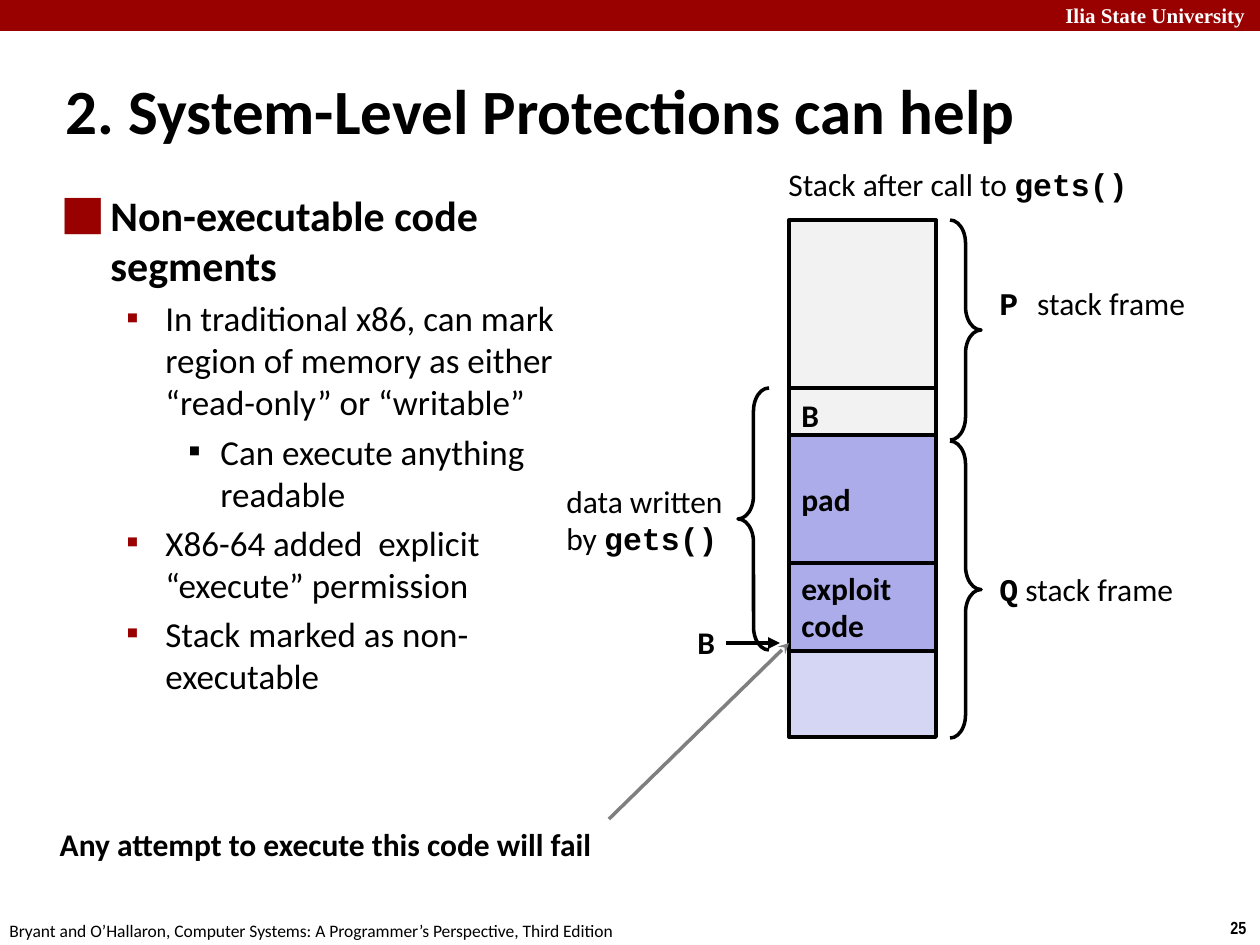
from lxml import etree
from pptx import Presentation
from pptx import util as u
from pptx.dml.color import RGBColor
from pptx.enum import shapes, text
from pptx.oxml.ns import qn

EMU_PER_PX = 914400 / 126

BLACK = RGBColor(0x00, 0x00, 0x00)
WHITE = RGBColor(0xFF, 0xFF, 0xFF)
CRIMSON = RGBColor(0x99, 0x00, 0x00)
GRAY = RGBColor(0x7F, 0x7F, 0x7F)
CALLER_FILL = RGBColor(0xF2, 0xF2, 0xF2)
WRITTEN_FILL = RGBColor(0xAC, 0xAC, 0xEA)
FREE_FILL = RGBColor(0xD5, 0xD5, 0xF4)

SANS = "Calibri"
MONO = "Courier New"
STACK_LEFT = 789
STACK_WIDTH = 147
BULLET_LEVELS = [
    dict(margin=48, hanging=48, size=24, bold=True, mark="⬛", color=CRIMSON, before=0),
    dict(margin=103, hanging=39, size=20, bold=False, mark="▪", color=CRIMSON, before=4),
    dict(margin=158, hanging=32, size=20, bold=False, mark="▪", color=BLACK, before=4),
]


def px(length):
    return u.Emu(round(length * EMU_PER_PX))


def box(bounds):
    return [px(length) for length in bounds]


def add_run(paragraph, words, size=18, bold=False, font=SANS, color=BLACK):
    run = paragraph.add_run()
    run.text = words
    run.font.name = font
    run.font.size = u.Pt(size)
    run.font.bold = bold
    run.font.color.rgb = color


def set_indent(paragraph, margin, hanging):
    properties = paragraph._p.get_or_add_pPr()
    properties.set("marL", str(px(margin)))
    properties.set("indent", str(px(-hanging)))
    return properties


def write_lines(frame, lines, align=text.PP_ALIGN.LEFT):
    for index, runs in enumerate(lines):
        paragraph = frame.paragraphs[0] if index == 0 else frame.add_paragraph()
        paragraph.alignment = align
        for words, style in runs:
            add_run(paragraph, words, **style)


def add_text(slide, bounds, lines, anchor=text.MSO_ANCHOR.TOP, align=text.PP_ALIGN.LEFT):
    frame = slide.shapes.add_textbox(*box(bounds)).text_frame
    frame.word_wrap = True
    frame.vertical_anchor = anchor
    write_lines(frame, lines, align)
    return frame


def add_label(slide, bounds, *lines):
    add_text(slide, bounds, lines, text.MSO_ANCHOR.MIDDLE)


def add_rectangle(slide, bounds, fill):
    shape = slide.shapes.add_shape(shapes.MSO_SHAPE.RECTANGLE, *box(bounds))
    shape.shadow.inherit = False
    shape.fill.solid()
    shape.fill.fore_color.rgb = fill
    shape.line.fill.background()
    return shape


def add_stack_block(slide, top, height, fill, words=()):
    shape = add_rectangle(slide, (STACK_LEFT, top, STACK_WIDTH, height), fill)
    shape.line.color.rgb = BLACK
    shape.line.width = u.Pt(2.25)
    shape.text_frame.vertical_anchor = text.MSO_ANCHOR.MIDDLE
    write_lines(shape.text_frame, [[(word, dict(bold=True))] for word in words])


def add_brace(slide, left, top, height, rotation):
    shape = slide.shapes.add_shape(shapes.MSO_SHAPE.LEFT_BRACE, *box((left, top, 31, height)))
    shape.shadow.inherit = False
    shape.adjustments[0] = 0.75
    shape.rotation = rotation
    shape.fill.background()
    shape.line.color.rgb = BLACK
    shape.line.width = u.Pt(2)


def add_arrow(slide, ends, color, width, head):
    connector = slide.shapes.add_connector(shapes.MSO_CONNECTOR.STRAIGHT, *box(ends))
    connector.line.color.rgb = color
    connector.line.width = u.Pt(width)
    etree.SubElement(connector.line._get_or_add_ln(), qn("a:tailEnd"), type=head)
    etree.SubElement(connector._element.spPr, qn("a:effectLst"))


def add_bullets(slide, bounds, items):
    frame = add_text(slide, bounds, [])
    for index, (level, words) in enumerate(items):
        style = BULLET_LEVELS[level]
        paragraph = frame.paragraphs[0] if index == 0 else frame.add_paragraph()
        paragraph.level = level
        properties = set_indent(paragraph, style["margin"], style["hanging"])
        bullet_color = etree.SubElement(properties, qn("a:buClr"))
        etree.SubElement(bullet_color, qn("a:srgbClr"), val=str(style["color"]))
        etree.SubElement(properties, qn("a:buFont"), typeface=SANS)
        etree.SubElement(properties, qn("a:buChar"), char=style["mark"])
        paragraph.space_before = u.Pt(style["before"])
        add_run(paragraph, words, style["size"], style["bold"])


def add_frame_parts(slide):
    add_rectangle(slide, (0, 0, 1260, 31), CRIMSON)
    add_text(slide, (1053, -4, 215, 38), [[("Ilia State University", dict(
        size=12, bold=True, font="Times New Roman", color=WHITE))]])
    add_text(slide, (1218, 911, 43, 34), [[("25", dict(size=10, bold=True, font="Arial Narrow"))]])
    add_text(slide, (-3, 914, 640, 34), [[(
        "Bryant and O’Hallaron, Computer Systems: A Programmer’s Perspective, Third Edition",
        dict(size=10))]])


def add_stack_diagram(slide):
    mono = dict(font=MONO, bold=True)
    add_text(slide, (776, 159, 369, 50), [[("Stack after call to ", {}), ("gets()", mono)]])

    add_stack_block(slide, 388, 53, CALLER_FILL, ["B"])
    add_stack_block(slide, 220, 168, CALLER_FILL)
    add_stack_block(slide, 651, 86, FREE_FILL)
    add_stack_block(slide, 562, 89, WRITTEN_FILL, ["exploit", "code"])
    add_stack_block(slide, 435, 128, WRITTEN_FILL, ["pad"])

    add_label(slide, (987, 278, 214, 50), [("P ", mono), ("stack frame", {})])
    add_label(slide, (987, 564, 203, 50), [("Q", mono), (" stack frame", {})])
    add_label(slide, (685, 617, 43, 50), [("B", dict(bold=True))])
    add_label(slide, (554, 475, 189, 89), [("data written", {})], [("by ", {}), ("gets()", mono)])

    add_brace(slide, 950, 220, 220, 180)
    add_brace(slide, 950, 441, 297, 180)
    add_brace(slide, 738, 388, 262, 0)
    add_arrow(slide, (726, 643, 780, 643), BLACK, 2.25, "triangle")


def main():
    presentation = Presentation()
    presentation.slide_width = px(1260)
    presentation.slide_height = px(945)
    slide = presentation.slides.add_slide(presentation.slide_layouts[6])

    add_frame_parts(slide)
    title = add_text(slide, (53, 73, 1113, 73), [[
        ("2. System-Level Protections can help", dict(size=36, bold=True))]],
        text.MSO_ANCHOR.MIDDLE)
    set_indent(title.paragraphs[0], 16, 16)
    add_bullets(slide, (50, 183, 558, 719), [
        (0, "Non-executable code segments"),
        (1, "In traditional x86, can mark region of memory as either “read-only” or “writable”"),
        (2, "Can execute anything readable"),
        (1, "X86-64 added  explicit “execute” permission"),
        (1, "Stack marked as non-executable"),
    ])
    add_stack_diagram(slide)
    add_arrow(slide, (609, 819, 789, 643), GRAY, 2, "stealth")
    add_text(slide, (37, 819, 567, 50), [[
        ("Any attempt to execute this code will fail", dict(bold=True))]],
        align=text.PP_ALIGN.RIGHT)
    presentation.save("out.pptx")


if __name__ == "__main__":
    main()
